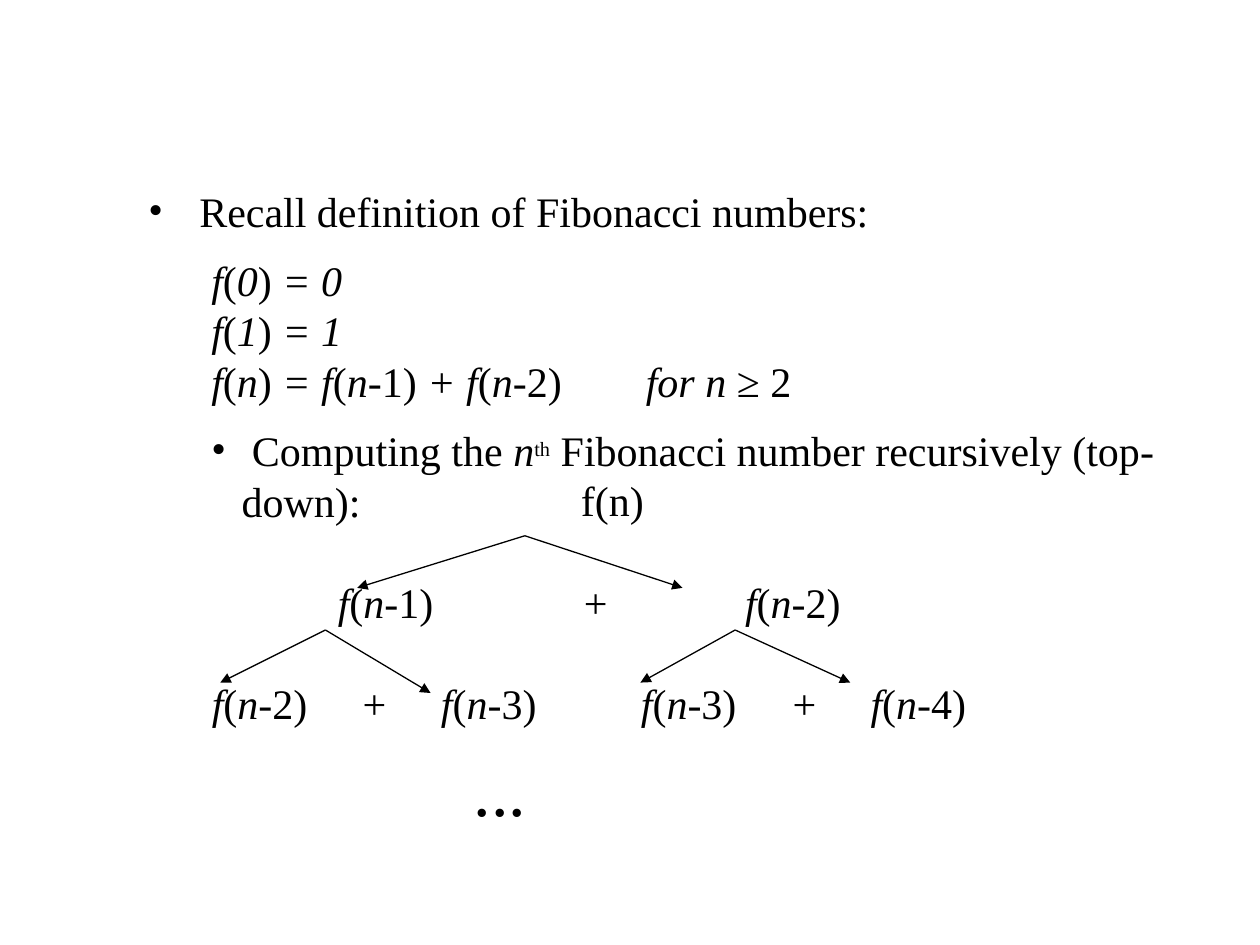
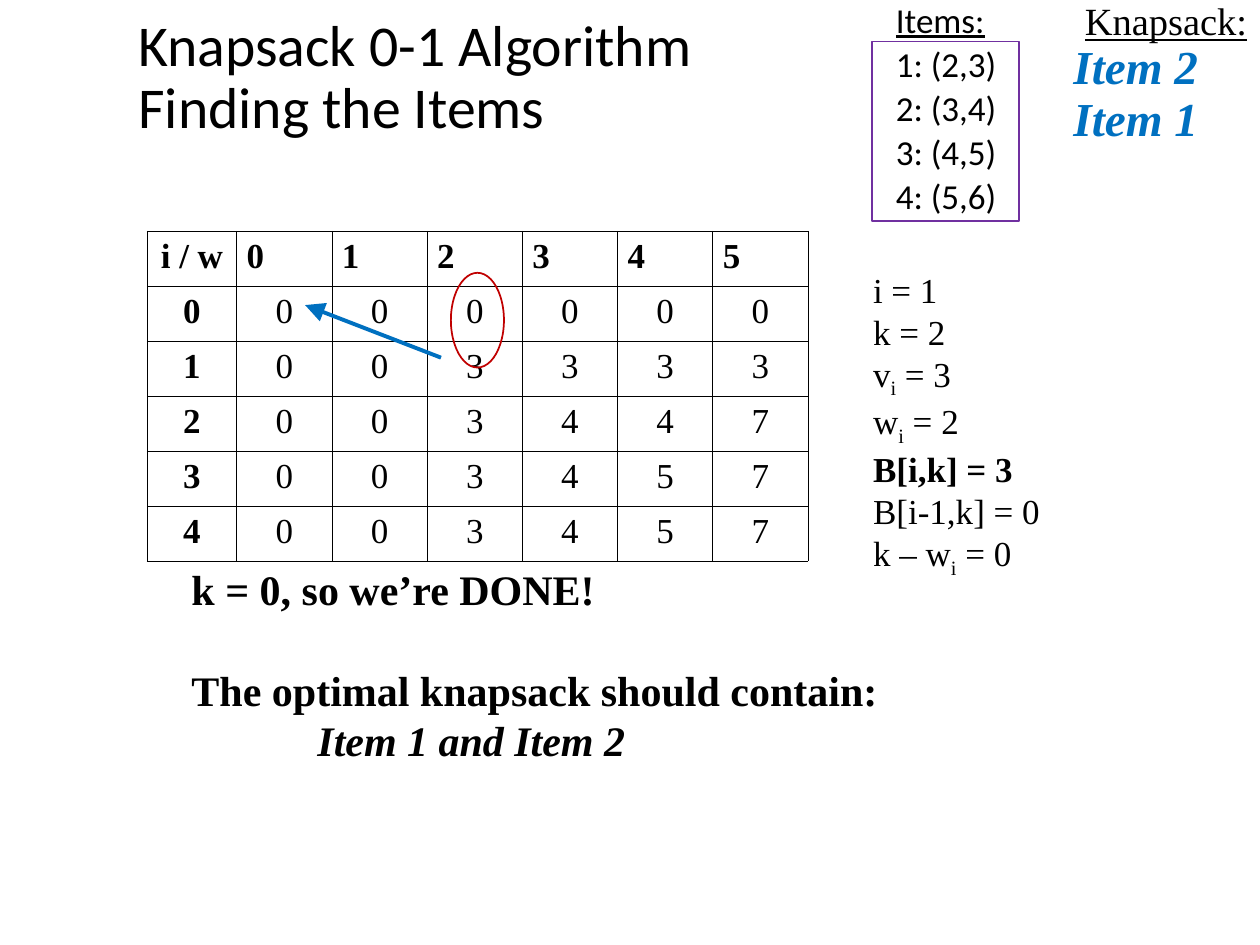
from itertools import pairwise

from lxml.etree import SubElement
from pptx import Presentation
from pptx.dml.color import RGBColor
from pptx.enum.shapes import MSO_CONNECTOR as Connector, MSO_SHAPE as Shape
from pptx.enum.text import MSO_ANCHOR as Anchor, PP_ALIGN as Align
from pptx.oxml.ns import qn
from pptx.util import Cm, Pt

COLORS = {"black": "000000", "blue": "0070C0", "purple": "7030A0", "red": "C00000"}
SERIF, SANS = "Times New Roman", "Calibri"
BASELINES = {"_": "-25000", "^": "30000"}


class Deck:
    """Shared style and the current slide."""

    def __init__(self, width, height):
        self.presentation = Presentation()
        self.presentation.slide_width = Cm(width)
        self.presentation.slide_height = Cm(height)
        self.slide = None

    def new_slide(self):
        self.slide = self.presentation.slides.add_slide(self.presentation.slide_layouts[6])

    @staticmethod
    def color(name):
        return RGBColor.from_string(COLORS[name])

    def runs(self, paragraph, markup, size=24, font=SERIF, color="black",
             bold=False, italic=False, underline=False):
        """Add runs: *italic*, _subscript_, ^superscript^, newline as a line break."""
        marks = [-1] + [i for i, char in enumerate(markup) if char in "*_^\n"] + [len(markup)]
        active = set()
        for start, end in pairwise(marks):
            mark = markup[start] if start >= 0 else ""
            if mark == "\n":
                paragraph.add_line_break()
            elif mark:
                active ^= {mark}
            text = markup[start + 1:end]
            if not text:
                continue
            run = paragraph.add_run()
            run.text = text
            run.font.name = font
            run.font.size = Pt(20 if "^" in active else size)
            run.font.bold = bold
            run.font.italic = italic or "*" in active
            run.font.underline = underline
            run.font.color.rgb = self.color(color)
            for script in active & set(BASELINES):
                run._r.get_or_add_rPr().set("baseline", BASELINES[script])

    def paragraph(self, paragraph, markup, before=0, spacing=None, align=None,
                  left=0, hanging=0, bullet=False, **font):
        properties = paragraph._p.get_or_add_pPr()
        properties.set("marL", str(Cm(left)))
        properties.set("indent", str(-Cm(hanging)))
        if bullet:
            SubElement(properties, qn("a:buFont")).set("typeface", SERIF)
            SubElement(properties, qn("a:buChar")).set("char", "•")
        paragraph.space_before = Pt(before)
        if spacing:
            paragraph.line_spacing = spacing
        if align is not None:
            paragraph.alignment = align
        self.runs(paragraph, markup, **font)

    def text(self, box, lines, anchor=Anchor.TOP, **style):
        """Each line is markup, or a pair of markup and its own style."""
        frame = self.slide.shapes.add_textbox(*map(Cm, box)).text_frame
        frame.word_wrap = True
        frame.vertical_anchor = anchor
        for index, line in enumerate(lines):
            markup, own = (line, {}) if isinstance(line, str) else line
            paragraph = frame.add_paragraph() if index else frame.paragraphs[0]
            self.paragraph(paragraph, markup, **{**style, **own})

    def outline(self, kind, box, color):
        shape = self.slide.shapes.add_shape(kind, *map(Cm, box))
        shape.shadow.inherit = False
        shape.fill.background()
        shape.line.color.rgb = self.color(color)
        shape.line.width = Pt(1)

    def arrow(self, start, end, color="black", width=0.75, head="med"):
        connector = self.slide.shapes.add_connector(
            Connector.STRAIGHT, *map(Cm, (*start, *end)))
        connector.line.color.rgb = self.color(color)
        connector.line.width = Pt(width)
        tail = SubElement(connector.line._get_or_add_ln(), qn("a:tailEnd"))
        for name, value in (("type", "triangle"), ("w", head), ("len", head)):
            tail.set(name, value)
        SubElement(connector._element.spPr, qn("a:effectLst"))

    def cell(self, cell, text, **style):
        cell.margin_left = cell.margin_right = Cm(0.2)
        cell.margin_top = cell.margin_bottom = Cm(0.13)
        properties = cell._tc.get_or_add_tcPr()
        for side in ("lnL", "lnR", "lnT", "lnB"):
            border = SubElement(properties, qn(f"a:{side}"))
            border.set("w", str(Pt(0.45)))
            fill = SubElement(border, qn("a:solidFill"))
            SubElement(fill, qn("a:srgbClr")).set("val", COLORS["black"])
        cell.fill.background()
        self.paragraph(cell.text_frame.paragraphs[0], text, size=20, **style)

    def table(self, left, top, widths, row_height, rows):
        table = self.slide.shapes.add_table(
            len(rows), len(widths), Cm(left), Cm(top),
            Cm(sum(widths)), Cm(row_height * len(rows))).table
        table.first_row = table.horz_banding = False
        for column, width in zip(table.columns, widths):
            column.width = Cm(width)
        for r, values in enumerate(rows):
            table.rows[r].height = Cm(row_height)
            for c, value in enumerate(values):
                self.cell(table.cell(r, c), str(value), bold=r == 0 or c == 0,
                          align=Align.LEFT if r == 0 and c else Align.CENTER)


def fibonacci_slide(deck):
    deck.new_slide()
    formula = {"left": 1.27}
    gap = 10.8

    # Definition
    deck.text((2.74, 3.61, 21.16, 7.2), [
        ("Recall definition of Fibonacci numbers:",
         {"bullet": True, "left": 1.03, "hanging": 1.03}),
        ("*f*(*0*)* = 0*", {**formula, "before": gap}),
        ("*f*(*1*)* = 1*", formula),
        ("*f*(*n*)* = f*(*n*-1)* + f*(*n*-2)", formula),
        (" Computing the *n*^th^ Fibonacci number recursively (top-down):",
         {"bullet": True, "left": 1.88, "hanging": 0.61, "before": gap}),
    ])
    deck.text((12.77, 7.05, 4, 1.27), ["*for n *≥ 2"])

    # Call tree labels, level by level
    levels = [
        [(11.46, "f(n)")],
        [(6.56, "*f*(*n-*1)"), (11.52, "+"), (14.77, "*f*(*n-*2)")],
        [(4.02, "*f*(*n-*2)"), (7.06, "+"), (8.64, "*f*(*n-*3)"),
         (12.67, "*f*(*n-*3)"), (15.73, "+"), (17.3, "*f*(*n-*4)")],
    ]
    for depth, labels in enumerate(levels):
        for left, label in labels:
            deck.text((left, 9.45 + 2.04 * depth, 3, 1.27), [label])
    deck.text((9.3, 14.93, 3, 1.9), ["..."], size=40)

    # Call tree branches
    branches = {
        (10.58, 10.8): [(7.2, 11.85), (13.76, 11.85)],
        (6.56, 12.7): [(4.44, 13.76), (8.68, 13.97)],
        (14.82, 12.7): [(12.91, 13.76), (17.14, 13.76)],
    }
    for parent, children in branches.items():
        for child in children:
            deck.arrow(parent, child)


def knapsack_slide(deck):
    deck.new_slide()
    tight = {"left": 0.23, "spacing": 0.8}

    deck.text((2.54, 0, 15.04, 3.18), ["Knapsack 0-1 Algorithm\nFinding the Items"],
              anchor=Anchor.MIDDLE, spacing=0.9, size=33, font=SANS)

    # Item list: weight and value of each item
    items = [(2, 3), (3, 4), (4, 5), (5, 6)]
    deck.text((17.58, 0, 2.97, 4.65),
              [("Items:", {"underline": True})]
              + [(f"{number}: ({weight},{value})", {"before": 6})
                 for number, (weight, value) in enumerate(items, 1)],
              size=20, font=SANS, **tight)
    deck.outline(Shape.RECTANGLE, (17.58, 0.84, 2.97, 3.61), "purple")

    # Current step
    deck.text((17.35, 5.28, 3.89, 6.53), [
        "i = 1", "k = 2", "v_i_ = 3", "w_i_ = 2",
        ("B[i,k] = 3", {"bold": True}), "B[i-1,k] = 0", "k – w_i_ = 0",
    ], size=20)

    # Best value for each item count and capacity
    deck.table(2.97, 4.66, [1.8] + [1.92] * 6, 1.09, [
        ["i / w", 0, 1, 2, 3, 4, 5],
        [0, 0, 0, 0, 0, 0, 0],
        [1, 0, 0, 3, 3, 3, 3],
        [2, 0, 0, 3, 4, 4, 7],
        [3, 0, 0, 3, 4, 5, 7],
        [4, 0, 0, 3, 4, 5, 7],
    ])
    deck.arrow((8.89, 7.21), (6.15, 6.15), "blue", 2.25, "lg")
    deck.outline(Shape.OVAL, (9.09, 5.5, 1.07, 1.91), "red")

    # Conclusion
    deck.text((3.61, 11.23, 17.98, 6.99), [
        "k = 0, so we’re DONE!",
        ("The optimal knapsack should contain:", {"before": 28.8}),
        ("Item 1 and Item 2", {"left": 2.54, "italic": True}),
    ], bold=True)

    # Chosen items
    deck.text((21.39, 0, 4.01, 1.47), ["Knapsack:"], size=22, underline=True, **tight)
    for row, item in enumerate(("Item 2", "Item 1")):
        deck.text((21.16, 0.84 + 1.06 * row, 4.24, 1.27), [item],
                  size=27, color="blue", bold=True, italic=True, **tight)


def main():
    deck = Deck(25.4, 19.05)
    fibonacci_slide(deck)
    knapsack_slide(deck)
    deck.presentation.save("out.pptx")


if __name__ == "__main__":
    main()
